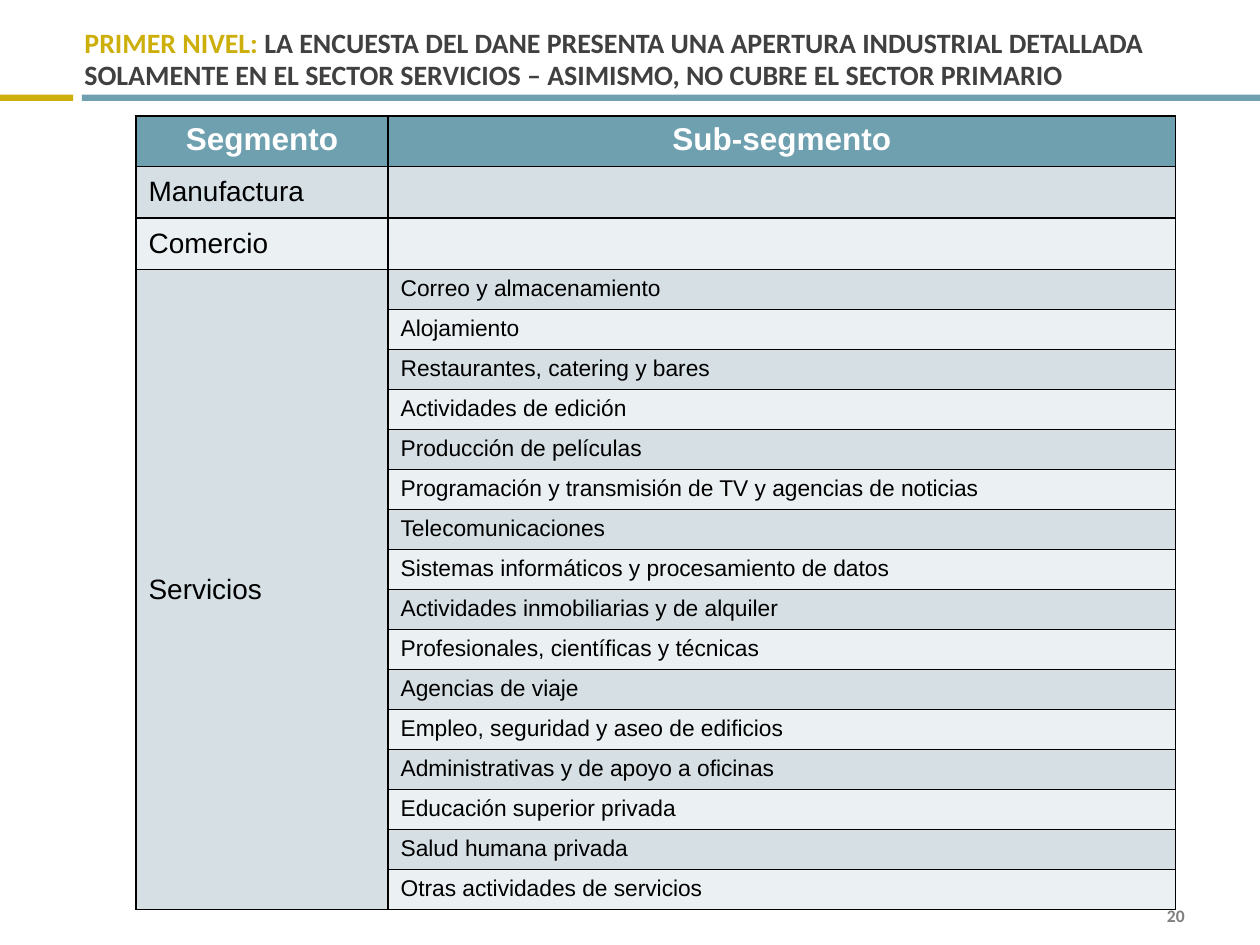
"""Build the slide that lists the survey's segments and sub-segments."""
from dataclasses import dataclass
from typing import Any, Optional

import pptx
import pptx.dml.color
import pptx.enum.shapes
import pptx.enum.text
import pptx.oxml
import pptx.oxml.ns
import pptx.util
from pptx.util import Inches

ALIGN = pptx.enum.text.PP_ALIGN
ANCHOR = pptx.enum.text.MSO_ANCHOR


@dataclass(frozen=True)
class Theme:
    gold: str = "CCAF0A"
    teal: str = "6EA0B0"
    title_grey: str = "404040"
    number_grey: str = "7F7F7F"
    white: str = "FFFFFF"
    black: str = "000000"
    bands: tuple = ("D5DFE4", "EBF0F2")
    heading_font: str = "Calibri"
    table_font: str = "Arial"
    number_size: float = 10
    sub_segment_size: float = 13
    segment_size: float = 16
    header_size: float = 18
    title_leading: float = 18
    border_width: float = 1


THEME = Theme()


@dataclass(frozen=True)
class TextStyle:
    size: float
    color: str
    font: str = THEME.table_font
    bold: bool = False
    align: Any = ALIGN.LEFT
    anchor: Any = ANCHOR.TOP


@dataclass(frozen=True)
class Bar:
    left: float
    width: float
    color: str


@dataclass(frozen=True)
class Segment:
    name: str
    row_height: float
    sub_segments: tuple = ("",)


HEADER = TextStyle(THEME.header_size, THEME.white, bold=True, align=ALIGN.CENTER)
SEGMENT = TextStyle(THEME.segment_size, THEME.black, anchor=ANCHOR.MIDDLE)
SUB_SEGMENT = TextStyle(THEME.sub_segment_size, THEME.black)
TITLE_LEAD = TextStyle(16, THEME.gold, THEME.heading_font, True, anchor=ANCHOR.BOTTOM)
TITLE_BODY = TextStyle(16, THEME.title_grey, THEME.heading_font, True)
PAGE_NUMBER = TextStyle(THEME.number_size, THEME.number_grey, THEME.heading_font, True,
                        ALIGN.RIGHT, ANCHOR.MIDDLE)

BARS = (Bar(0, 0.58, THEME.gold), Bar(0.65, 9.35, THEME.teal))
TITLE = (
    ("PRIMER NIVEL: ", TITLE_LEAD),
    ("LA ENCUESTA DEL DANE PRESENTA UNA APERTURA INDUSTRIAL DETALLADA SOLAMENTE "
     "EN EL SECTOR SERVICIOS – ASIMISMO, NO CUBRE EL SECTOR PRIMARIO", TITLE_BODY),
)
COLUMNS = (("Segmento", 2), ("Sub-segmento", 6.25))
HEADER_HEIGHT = 0.38
SEGMENTS = (
    Segment("Manufactura", 0.41),
    Segment("Comercio", 0.41),
    Segment("Servicios", 0.3, (
        "Correo y almacenamiento",
        "Alojamiento",
        "Restaurantes, catering y bares",
        "Actividades de edición",
        "Producción de películas",
        "Programación y transmisión de TV y agencias de noticias",
        "Telecomunicaciones",
        "Sistemas informáticos y procesamiento de datos",
        "Actividades inmobiliarias y de alquiler",
        "Profesionales, científicas y técnicas",
        "Agencias de viaje",
        "Empleo, seguridad y aseo de edificios",
        "Administrativas y de apoyo a oficinas",
        "Educación superior privada",
        "Salud humana privada",
        "Otras actividades de servicios",
    )),
)


def set_attributes(target: Any, values: dict) -> None:
    """Set each named attribute on the target."""
    for name, value in values.items():
        setattr(target, name, value)


def rgb(color: str) -> pptx.dml.color.RGBColor:
    """Turn a hex string into a colour."""
    return pptx.dml.color.RGBColor.from_string(color)


def paint(fill: Any, color: str) -> None:
    """Make a fill solid in the given colour."""
    fill.solid()
    fill.fore_color.rgb = rgb(color)


def add_run(paragraph: Any, text: str, style: TextStyle) -> None:
    """Append a formatted run to a paragraph."""
    run = paragraph.add_run()
    run.text = text
    set_attributes(run.font, {"name": style.font, "size": pptx.util.Pt(style.size),
                              "bold": style.bold})
    run.font.color.rgb = rgb(style.color)


def add_bar(slide: Any, bar: Bar) -> None:
    """Draw one part of the rule under the title."""
    rule = slide.shapes.add_shape(
        pptx.enum.shapes.MSO_SHAPE.RECTANGLE,
        Inches(bar.left), Inches(0.75), Inches(bar.width), Inches(0.05))
    rule.shadow.inherit = False
    paint(rule.fill, bar.color)
    rule.line.fill.background()


def fill_title(slide: Any) -> None:
    """Place and write the two-colour title."""
    title = slide.shapes.title
    set_attributes(title, {"left": Inches(0.67), "top": Inches(0.08),
                           "width": Inches(9), "height": Inches(0.67)})
    set_attributes(title.text_frame, {
        "margin_left": 0, "margin_top": Inches(0.05), "margin_right": 0,
        "margin_bottom": Inches(0.03), "word_wrap": True,
        "auto_size": pptx.enum.text.MSO_AUTO_SIZE.NONE,
        "vertical_anchor": TITLE_LEAD.anchor})
    paragraph = title.text_frame.paragraphs[0]
    set_attributes(paragraph, {"alignment": TITLE_LEAD.align,
                               "line_spacing": pptx.util.Pt(THEME.title_leading)})
    for text, style in TITLE:
        add_run(paragraph, text, style)


def add_page_number(slide: Any, number: str) -> None:
    """Write the page number at the lower right."""
    frame = slide.shapes.add_textbox(
        Inches(7.17), Inches(7.17), Inches(2.33), Inches(0.2)).text_frame
    set_attributes(frame, {"word_wrap": True, "vertical_anchor": PAGE_NUMBER.anchor})
    frame.paragraphs[0].alignment = PAGE_NUMBER.align
    add_run(frame.paragraphs[0], number, PAGE_NUMBER)


def format_cell(cell: Any, color: str, style: Optional[TextStyle] = None,
                text: str = "") -> None:
    """Give a cell its borders, fill and text."""
    properties = cell._tc.get_or_add_tcPr()
    width = pptx.util.Pt(THEME.border_width)
    for side in ("lnL", "lnR", "lnT", "lnB"):
        properties.append(pptx.oxml.parse_xml(
            f'<a:{side} {pptx.oxml.ns.nsdecls("a")} w="{width}"><a:solidFill>'
            f'<a:srgbClr val="{THEME.black}"/></a:solidFill></a:{side}>'))
    paint(cell.fill, color)
    if style and text:
        cell.vertical_anchor = style.anchor
        paragraph = cell.text_frame.paragraphs[0]
        paragraph.alignment = style.align
        add_run(paragraph, text, style)


def add_segment_table(slide: Any) -> None:
    """Draw the table, merging each segment over its sub-segments."""
    heights = [HEADER_HEIGHT] + [s.row_height for s in SEGMENTS for _ in s.sub_segments]
    table = slide.shapes.add_table(
        len(heights), len(COLUMNS), Inches(1.08), Inches(0.92),
        Inches(sum(width for _, width in COLUMNS)), Inches(sum(heights))).table
    for row, height in zip(table.rows, heights):
        row.height = Inches(height)
    for index, (heading, width) in enumerate(COLUMNS):
        table.columns[index].width = Inches(width)
        format_cell(table.cell(0, index), THEME.teal, HEADER, heading)
    row = 1
    for segment in SEGMENTS:
        first = row
        for sub_segment in segment.sub_segments:
            band = THEME.bands[(row - 1) % 2]
            format_cell(table.cell(row, 0), band, SEGMENT,
                        segment.name if row == first else "")
            format_cell(table.cell(row, 1), band, SUB_SEGMENT, sub_segment)
            row += 1
        if row - first > 1:
            table.cell(first, 0).merge(table.cell(row - 1, 0))


def main() -> None:
    """Build and save the slide."""
    deck = pptx.Presentation()
    set_attributes(deck, {"slide_width": Inches(10), "slide_height": Inches(7.5)})
    slide = deck.slides.add_slide(deck.slide_layouts[5])
    add_page_number(slide, "20")
    for bar in BARS:
        add_bar(slide, bar)
    fill_title(slide)
    add_segment_table(slide)
    deck.save("out.pptx")


if __name__ == "__main__":
    main()
